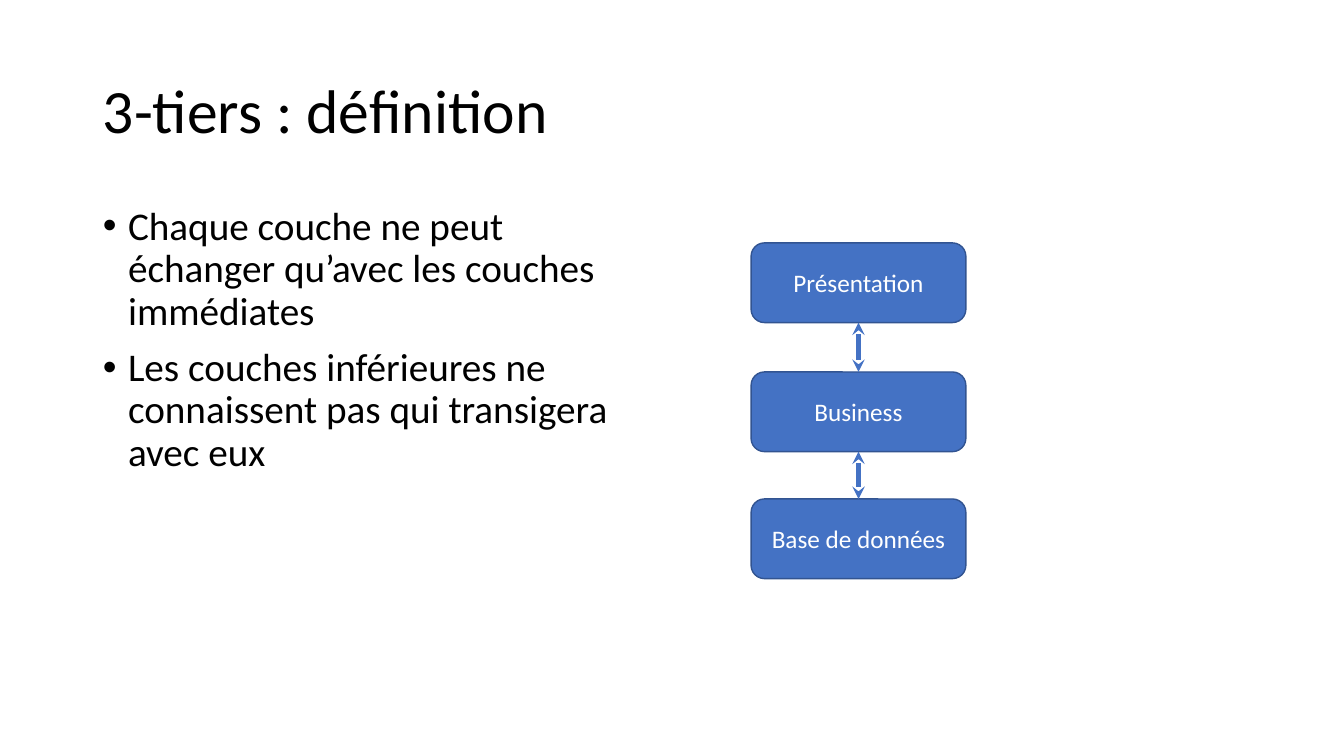
import dataclasses

import lxml.etree
import pptx
import pptx.dml.color
import pptx.enum.shapes
import pptx.enum.text
import pptx.oxml
import pptx.oxml.ns
import pptx.util

PX = 9144  # EMU per px, 100 px to the inch
FONT = "Calibri"
BLACK, WHITE, BLUE, NAVY = "000000", "FFFFFF", "4472C4", "325491"
ALIGN = pptx.enum.text.PP_ALIGN
ANCHOR = pptx.enum.text.MSO_ANCHOR


@dataclasses.dataclass
class Box:
    left: int
    top: int
    width: int
    height: int


@dataclasses.dataclass
class Layer:
    name: str
    top: int


TITLE_BOX = Box(92, 40, 1150, 145)
BODY_BOX = Box(92, 200, 567, 476)
LAYER_LEFT, LAYER_WIDTH, LAYER_HEIGHT = 745, 213, 79
LAYERS = [Layer("Présentation", 241), Layer("Business", 369), Layer("Base de données", 495)]
RULES = [
    "Chaque couche ne peut échanger qu’avec les couches immédiates",
    "Les couches inférieures ne connaissent pas qui transigera avec eux",
]


def px(length: int) -> int:
    return length * PX


def color(value: str) -> pptx.dml.color.RGBColor:
    return pptx.dml.color.RGBColor.from_string(value)


def add_child(parent, tag: str, **attributes: str):
    child = lxml.etree.SubElement(parent, pptx.oxml.ns.qn(tag))
    for name, value in attributes.items():
        child.set(name, value)
    return child


def write(para, text: str, *, size: int, fill: str = BLACK, align=ALIGN.LEFT,
          line_spacing: float = 1.0, before: int = 0, bullet: str = "") -> None:
    """Put formatted text into a paragraph."""
    para.alignment = align
    para.line_spacing = line_spacing
    para.space_before = pptx.util.Pt(before)
    if bullet:
        properties = para._p.get_or_add_pPr()
        properties.set("marL", str(px(25)))
        properties.set("indent", str(px(-25)))
        add_child(properties, "a:buFont", typeface="Arial")
        add_child(properties, "a:buChar", char=bullet)
    span = para.add_run()
    span.text = text
    span.font.name = FONT
    span.font.size = pptx.util.Pt(size)
    span.font.color.rgb = color(fill)


def place(holder, box: Box, anchor):
    """Move a placeholder and return its text frame."""
    holder.left, holder.top = px(box.left), px(box.top)
    holder.width, holder.height = px(box.width), px(box.height)
    frame = holder.text_frame
    frame.auto_size = pptx.enum.text.MSO_AUTO_SIZE.NONE
    frame.word_wrap = True
    frame.vertical_anchor = anchor
    return frame


def add_layer(page, layer: Layer):
    shape = page.shapes.add_shape(
        pptx.enum.shapes.MSO_SHAPE.ROUNDED_RECTANGLE,
        px(LAYER_LEFT), px(layer.top), px(LAYER_WIDTH), px(LAYER_HEIGHT))
    shape.shadow.inherit = False
    shape.fill.solid()
    shape.fill.fore_color.rgb = color(BLUE)
    shape.line.color.rgb = color(NAVY)
    shape.line.width = pptx.util.Pt(1)
    frame = shape.text_frame
    frame.word_wrap = True
    frame.vertical_anchor = ANCHOR.MIDDLE
    write(frame.paragraphs[0], layer.name, size=18, fill=WHITE, align=ALIGN.CENTER)
    return shape


def link(page, upper, lower) -> None:
    """Join two layers with a double-headed arrow."""
    arrow = page.shapes.add_connector(pptx.enum.shapes.MSO_CONNECTOR.STRAIGHT, 0, 0, 0, 0)
    arrow.begin_connect(upper, 2)
    arrow.end_connect(lower, 0)
    arrow.line.color.rgb = color(BLUE)
    arrow.line.width = pptx.util.Pt(3)
    stroke = arrow.line._get_or_add_ln()
    for end in ("a:headEnd", "a:tailEnd"):
        add_child(stroke, end, type="stealth")
    add_child(arrow._element.spPr, "a:effectLst")


def main() -> None:
    deck = pptx.Presentation()
    deck.slide_width, deck.slide_height = px(1333), px(750)
    page = deck.slides.add_slide(deck.slide_layouts[1])

    # Title and list
    title = place(page.shapes.title, TITLE_BOX, ANCHOR.MIDDLE)
    write(title.paragraphs[0], "3-tiers : définition", size=44, line_spacing=0.9)
    body = place(page.placeholders[1], BODY_BOX, ANCHOR.TOP)
    for index, rule in enumerate(RULES):
        para = body.add_paragraph() if index else body.paragraphs[0]
        write(para, rule, size=28, line_spacing=0.9, before=10, bullet="•")

    # Stack of layers, joined by arrows
    shapes = [add_layer(page, layer) for layer in LAYERS]
    for upper, lower in zip(shapes, shapes[1:]):
        link(page, upper, lower)

    deck.save("out.pptx")


if __name__ == "__main__":
    main()
